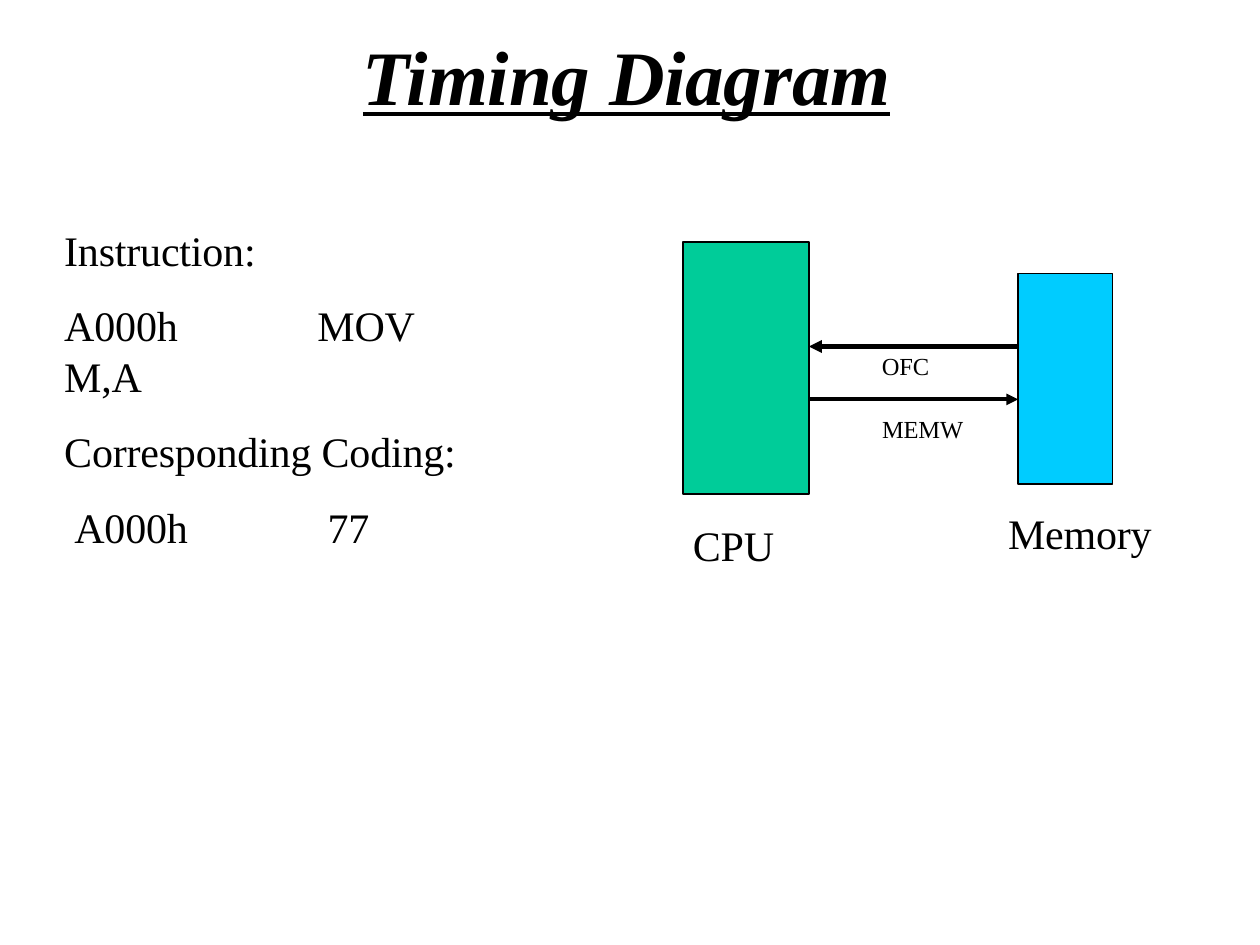
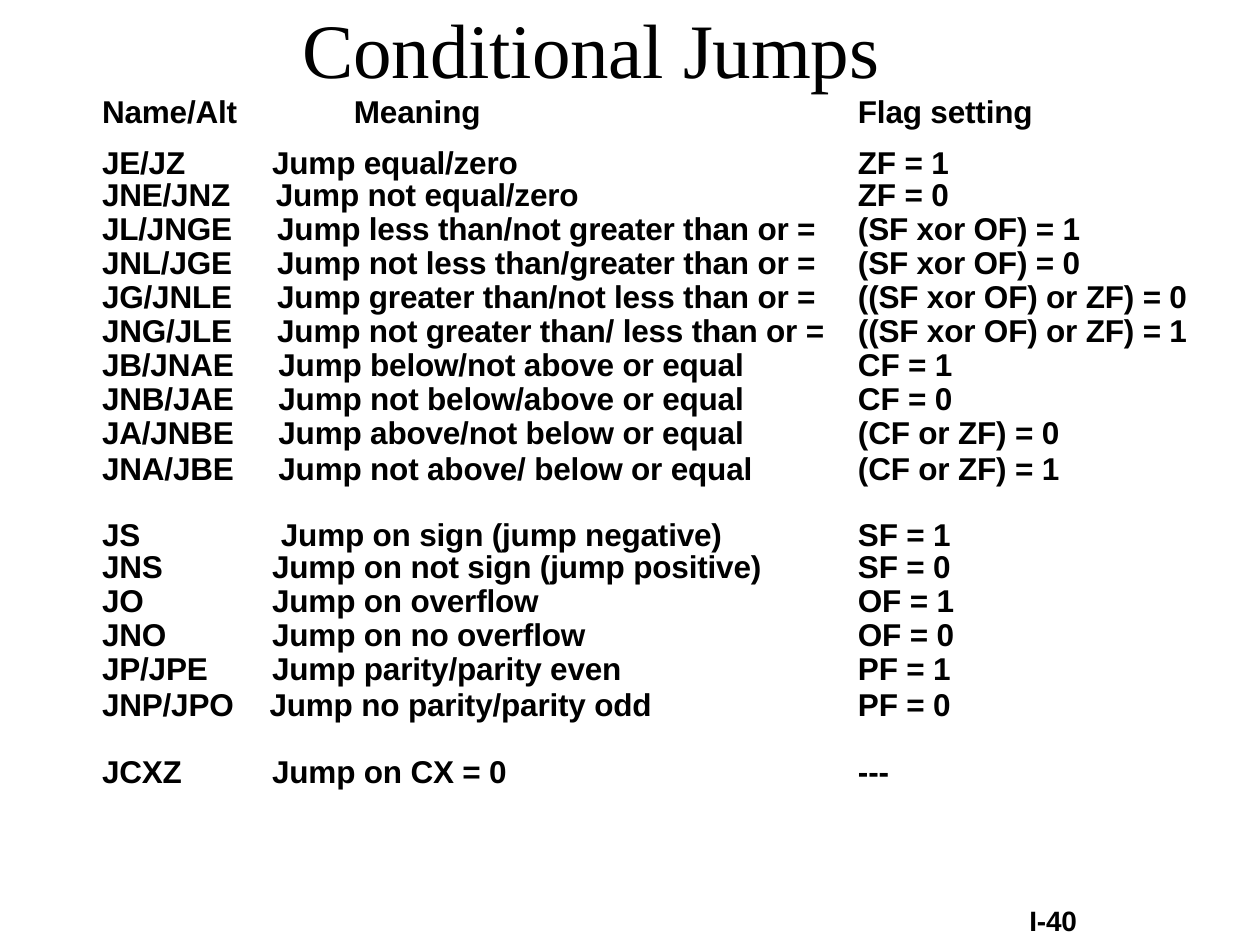
from typing import NamedTuple

from lxml.etree import SubElement
from pptx import Presentation
from pptx.dml.color import RGBColor
from pptx.enum.shapes import MSO_CONNECTOR, MSO_SHAPE
from pptx.enum.text import MSO_ANCHOR
from pptx.oxml import parse_xml
from pptx.oxml.ns import nsdecls, qn
from pptx.util import Inches, Pt

COLORS = {"ink": "000000", "cpu": "00CC99", "memory": "00CCFF"}
SERIF, SANS = "Times New Roman", "Arial"


class Style(NamedTuple):
    size: float
    font: str = SERIF
    bold: bool = False
    italic: bool = False
    underline: bool = False


TITLE = Style(44)
TITLE_STRONG = Style(44, bold=True, italic=True, underline=True)
BODY = Style(24)
SIGNAL = Style(14)
CELL = Style(18, SANS, bold=True)
PAGE = Style(16, SANS, bold=True)


class Label(NamedTuple):
    text: str
    left: float
    top: float
    width: float
    height: float
    style: Style


class Block(NamedTuple):
    left: float
    top: float
    width: float
    height: float
    color: str


class Arrow(NamedTuple):
    start: float
    end: float
    y: float
    weight: float


class Line(NamedTuple):
    text: str
    before: float = 0
    spacing: float = 1.0
    indent: float = 0.01
    tab: float = 0


class Jump(NamedTuple):
    name: str
    meaning: str
    flag: str
    indent: float = 0.14
    height: float = 0.27
    spacing: float = 18.4
    top: float = 0


def rgb(name: str) -> RGBColor:
    return RGBColor.from_string(COLORS[name])


def add_run(p, text: str, style: Style) -> None:
    r = p.add_run()
    r.text = text
    f = r.font
    f.name, f.size = style.font, Pt(style.size)
    f.bold, f.italic, f.underline = style.bold, style.italic, style.underline
    f.color.rgb = rgb("ink")
    r._r.get_or_add_rPr().set("spc", "-10")


def add_box(s, left: float, top: float, width: float, height: float, inset: float = 0.01):
    tf = s.shapes.add_textbox(Inches(left), Inches(top), Inches(width), Inches(height)).text_frame
    tf.word_wrap = True
    tf.margin_left = tf.margin_right = tf.margin_bottom = 0
    tf.margin_top = Inches(inset)
    return tf


def add_label(s, label: Label):
    tf = add_box(s, label.left, label.top, label.width, label.height)
    p = tf.paragraphs[0]
    add_run(p, label.text, label.style)
    return p


def add_lines(tf, lines: list[Line], style: Style) -> None:
    for i, line in enumerate(lines):
        p = tf.paragraphs[0] if i == 0 else tf.add_paragraph()
        pPr = p._p.get_or_add_pPr()
        pPr.set("marL", str(Inches(line.indent)))
        if line.tab:
            tabs = SubElement(pPr, qn("a:tabLst"))
            SubElement(tabs, qn("a:tab"), pos=str(Inches(line.tab)), algn="l")
        p.space_before = Pt(line.before)
        p.line_spacing = line.spacing
        add_run(p, line.text, style)


def add_block(s, block: Block) -> None:
    sp = s.shapes.add_shape(MSO_SHAPE.RECTANGLE, Inches(block.left), Inches(block.top),
                            Inches(block.width), Inches(block.height))
    sp.shadow.inherit = False
    sp.fill.solid()
    sp.fill.fore_color.rgb = rgb(block.color)
    sp.line.color.rgb = rgb("ink")
    sp.line.width = Pt(1)


def add_arrow(s, arrow: Arrow) -> None:
    c = s.shapes.add_connector(MSO_CONNECTOR.STRAIGHT, Inches(arrow.start), Inches(arrow.y),
                               Inches(arrow.end), Inches(arrow.y))
    c.line.color.rgb = rgb("ink")
    c.line.width = Pt(arrow.weight)
    SubElement(c.line._get_or_add_ln(), qn("a:tailEnd"), type="triangle", w="med", len="med")
    SubElement(c._element.spPr, qn("a:effectLst"))


def set_borders(cell, ruled: bool) -> None:
    """Leave a cell without borders, except for a rule below it if asked."""
    tcPr = cell._tc.get_or_add_tcPr()
    for i, side in enumerate(("lnL", "lnR", "lnT", "lnB")):
        if ruled and side == "lnB":
            paint = f'<a:solidFill><a:srgbClr val="{COLORS["ink"]}"/></a:solidFill>'
        else:
            paint = "<a:noFill/>"
        tcPr.insert(i, parse_xml(f'<a:{side} {nsdecls("a")} w="{Pt(2.25)}">{paint}</a:{side}>'))


def add_cell(cell, text: str, indent: float, row: Jump, ruled: bool) -> None:
    cell.fill.background()
    cell.margin_left, cell.margin_top = Inches(indent), Inches(row.top)
    cell.margin_right = cell.margin_bottom = 0
    cell.vertical_anchor = MSO_ANCHOR.TOP
    set_borders(cell, ruled)
    p = cell.text_frame.paragraphs[0]
    p.line_spacing = Pt(row.spacing)
    add_run(p, text, CELL)


# Timing diagram content
INSTRUCTION = [
    Line("Instruction:"),
    Line("A000h\tMOV M,A", before=14.4, tab=2.01),
    Line("Corresponding Coding:", spacing=1.5),
    Line("A000h\t77", spacing=1.5, indent=0.09, tab=2.01),
]
BLOCKS = [Block(5.42, 1.92, 1, 2, "cpu"), Block(8.08, 2.17, 0.75, 1.67, "memory")]
ARROWS = [Arrow(8.08, 6.42, 2.75, 2.5), Arrow(6.42, 8.08, 3.17, 2.25)]
DIAGRAM_LABELS = [
    Label("Timing Diagram", 2.88, 0.22, 4.3, 0.76, TITLE_STRONG),
    Label("CPU", 5.5, 4.11, 0.8, 0.43, BODY),
    Label("Memory", 8, 4.02, 1.25, 0.43, BODY),
    Label("OFC", 7, 2.78, 0.5, 0.26, SIGNAL),
    Label("MEMW", 7, 3.28, 0.75, 0.26, SIGNAL),
]

# Conditional jumps content
COLUMNS = [1.21, 4.68, 2.79]
FLAG_INDENT = 0.11
RULED_ROWS = 2
JUMPS = [
    Jump("Name/Alt", "Meaning", "Flag setting", 0.79, 0.28, 18.1),
    Jump("JE/JZ", "Jump equal/zero", "ZF = 1", 0.14, 0.37, 20.5, 0.09),
    Jump("JNE/JNZ", "Jump not equal/zero", "ZF = 0", 0.17),
    Jump("JL/JNGE", "Jump less than/not greater than or =", "(SF xor OF) = 1", 0.18),
    Jump("JNL/JGE", "Jump not less than/greater than or =", "(SF xor OF) = 0", 0.18),
    Jump("JG/JNLE", "Jump greater than/not less than or =", "((SF xor OF) or ZF) = 0", 0.18),
    Jump("JNG/JLE", "Jump not greater than/ less than or =", "((SF xor OF) or ZF) = 1", 0.18),
    Jump("JB/JNAE", "Jump below/not above or equal", "CF = 1", 0.19),
    Jump("JNB/JAE", "Jump not below/above or equal", "CF = 0", 0.19),
    Jump("JA/JNBE", "Jump above/not below or equal", "(CF or ZF) = 0", 0.19),
    Jump("JNA/JBE", "Jump not above/ below or equal", "(CF or ZF) = 1", 0.19, 0.4, 19.6),
    Jump("JS", "Jump on sign (jump negative)", "SF = 1", 0.21, 0.4, 20.5, 0.11),
    Jump("JNS", "Jump on not sign (jump positive)", "SF = 0"),
    Jump("JO", "Jump on overflow", "OF = 1"),
    Jump("JNO", "Jump on no overflow", "OF = 0"),
    Jump("JP/JPE", "Jump parity/parity even", "PF = 1"),
    Jump("JNP/JPO", "Jump no parity/parity odd", "PF = 0", 0.12, 0.4, 19.6),
    Jump("JCXZ", "Jump on CX = 0", "---", 0.14, 0.41, 20.8, 0.11),
]


def build_timing(s) -> None:
    add_lines(add_box(s, 0.5, 1.57, 3.45, 2.43, inset=0.21), INSTRUCTION, BODY)
    for block in BLOCKS:
        add_block(s, block)
    for arrow in ARROWS:
        add_arrow(s, arrow)
    for label in DIAGRAM_LABELS:
        add_label(s, label)


def build_jumps(s) -> None:
    add_label(s, Label("Conditional Jumps", 2.4, 0, 4.7, 0.76, TITLE))
    page = add_label(s, Label("I-40", 8.17, 7.17, 0.52, 0.28, PAGE))
    page.line_spacing = Pt(18.7)

    # Table of jumps
    height = sum(jump.height for jump in JUMPS)
    frame = s.shapes.add_table(len(JUMPS), len(COLUMNS), Inches(0.81), Inches(0.78),
                               Inches(sum(COLUMNS)), Inches(height))
    table = frame.table
    table.first_row = table.horz_banding = False
    for column, width in zip(table.columns, COLUMNS):
        column.width = Inches(width)
    for i, jump in enumerate(JUMPS):
        table.rows[i].height = Inches(jump.height)
        entries = [(jump.name, 0), (jump.meaning, jump.indent), (jump.flag, FLAG_INDENT)]
        for j, (text, indent) in enumerate(entries):
            add_cell(table.cell(i, j), text, indent, jump, i < RULED_ROWS)


def main() -> None:
    prs = Presentation()
    prs.slide_width, prs.slide_height = Inches(10), Inches(7.5)
    for build in (build_timing, build_jumps):
        build(prs.slides.add_slide(prs.slide_layouts[6]))
    prs.save("out.pptx")


if __name__ == "__main__":
    main()
